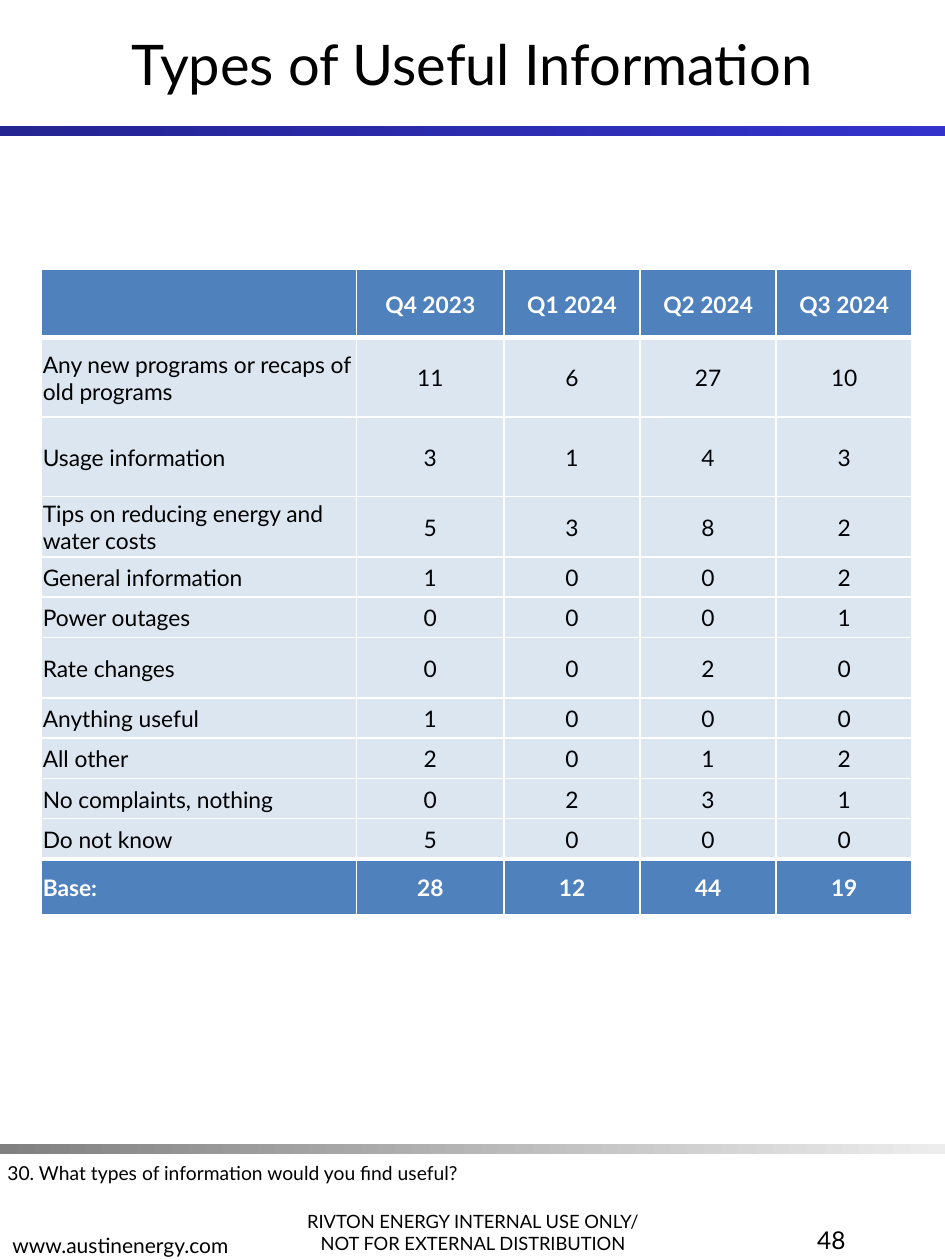
from lxml.etree import SubElement
from pptx import Presentation
from pptx.dml.color import RGBColor
from pptx.enum.shapes import MSO_SHAPE
from pptx.enum.text import MSO_ANCHOR, MSO_AUTO_SIZE, PP_ALIGN
from pptx.oxml.ns import qn
from pptx.util import Inches, Pt

BLACK = RGBColor(0x00, 0x00, 0x00)
NEAR_BLACK = RGBColor(0x01, 0x02, 0x05)
WHITE = RGBColor(0xFF, 0xFF, 0xFF)
NAVY = RGBColor(0x24, 0x24, 0x92)
BLUE = RGBColor(0x33, 0x33, 0xCC)
GRAY = RGBColor(0x80, 0x80, 0x80)
LIGHT_GRAY = RGBColor(0xED, 0xED, 0xED)
HEADER_BLUE = RGBColor(0x4F, 0x81, 0xBD)
BODY_BLUE = RGBColor(0xDC, 0xE6, 0xF1)

COLUMN_WIDTHS = [2.5, 1.17, 1.08, 1.08, 1.08]
ROWS = [
    (0.54, "", "Q4 2023", "Q1 2024", "Q2 2024", "Q3 2024"),
    (0.63, "Any new programs or recaps of old programs", 11, 6, 27, 10),
    (0.63, "Usage information", 3, 1, 4, 3),
    (0.48, "Tips on reducing energy and water costs", 5, 3, 8, 2),
    (0.32, "General information", 1, 0, 0, 2),
    (0.32, "Power outages", 0, 0, 0, 1),
    (0.48, "Rate changes", 0, 0, 2, 0),
    (0.32, "Anything useful", 1, 0, 0, 0),
    (0.32, "All other", 2, 0, 1, 2),
    (0.32, "No complaints, nothing", 0, 2, 3, 1),
    (0.32, "Do not know", 5, 0, 0, 0),
    (0.44, "Base:", 28, 12, 44, 19),
]


class SlideBuilder:
    font_name = "Lato"
    table_size = 13
    cell_format = {
        "vertical_anchor": MSO_ANCHOR.MIDDLE,
        "margin_left": Inches(0.01),
        "margin_top": Inches(0.01),
        "margin_right": Inches(0.01),
        "margin_bottom": Inches(0),
    }

    def __init__(self, slide):
        self.slide = slide

    def format_paragraph(self, paragraph, size, alignment, color=BLACK, bold=False):
        paragraph.alignment = alignment
        values = {"name": self.font_name, "size": Pt(size), "bold": bold}
        for name, value in values.items():
            setattr(paragraph.font, name, value)
        paragraph.font.color.rgb = color

    def gradient_bar(self, top, start_color, end_color):
        shape = self.slide.shapes.add_shape(
            MSO_SHAPE.RECTANGLE, Inches(0), Inches(top), Inches(7.5), Inches(0.08))
        shape.shadow.inherit = False
        shape.line.fill.background()
        shape.fill.gradient()
        shape.fill.gradient_angle = 0
        for stop, color in zip(shape.fill.gradient_stops, (start_color, end_color)):
            stop.color.rgb = color

    def text(self, lines, left, top, width, height, size,
             alignment=PP_ALIGN.LEFT, anchor=MSO_ANCHOR.TOP, auto_size=MSO_AUTO_SIZE.NONE):
        box = self.slide.shapes.add_textbox(
            Inches(left), Inches(top), Inches(width), Inches(height))
        frame = box.text_frame
        values = {"word_wrap": True, "vertical_anchor": anchor, "auto_size": auto_size}
        for name, value in values.items():
            setattr(frame, name, value)
        frame.text = "\n".join(lines)
        for paragraph in frame.paragraphs:
            self.format_paragraph(paragraph, size, alignment)

    def cell_borders(self, cell, top=1, bottom=1):
        """Draw white borders, with widths in points."""
        properties = cell._tc.get_or_add_tcPr()
        for side, width in (("L", 1), ("R", 1), ("T", top), ("B", bottom)):
            line = SubElement(properties, qn(f"a:ln{side}"), w=str(Pt(width)))
            fill = SubElement(line, qn("a:solidFill"))
            SubElement(fill, qn("a:srgbClr"), val=str(WHITE))

    def table(self, rows, column_widths, left, top):
        heights = [row[0] for row in rows]
        table = self.slide.shapes.add_table(
            len(rows), len(column_widths), Inches(left), Inches(top),
            Inches(sum(column_widths)), Inches(sum(heights))).table
        for column, width in zip(table.columns, column_widths):
            column.width = Inches(width)
        last = len(rows) - 1
        for row_index, (height, *values) in enumerate(rows):
            table.rows[row_index].height = Inches(height)
            emphasized = row_index in (0, last)
            for column_index, value in enumerate(values):
                cell = table.cell(row_index, column_index)
                for name, setting in self.cell_format.items():
                    setattr(cell, name, setting)
                self.cell_borders(
                    cell,
                    top=3 if row_index in (1, last) else 1,
                    bottom=3 if row_index in (0, last - 1) else 1)
                cell.fill.solid()
                cell.fill.fore_color.rgb = HEADER_BLUE if emphasized else BODY_BLUE
                cell.text = str(value)
                is_label = column_index == 0
                body_color = BLACK if is_label else NEAR_BLACK
                self.format_paragraph(
                    cell.text_frame.paragraphs[0], self.table_size,
                    PP_ALIGN.LEFT if is_label else PP_ALIGN.CENTER,
                    WHITE if emphasized else body_color, emphasized)


def main():
    presentation = Presentation()
    presentation.slide_width = Inches(7.5)
    presentation.slide_height = Inches(10)
    builder = SlideBuilder(presentation.slides.add_slide(presentation.slide_layouts[6]))

    builder.gradient_bar(1, NAVY, BLUE)
    builder.gradient_bar(9.08, GRAY, LIGHT_GRAY)
    builder.text(["RIVTON ENERGY INTERNAL USE ONLY/", "NOT FOR EXTERNAL DISTRIBUTION"],
                 2.16, 9.33, 3.19, 0.67, 10.5, PP_ALIGN.CENTER, MSO_ANCHOR.BOTTOM)
    builder.text(["www.austinenergy.com"], 0, 9.36, 3.19, 0.67, 12,
                 anchor=MSO_ANCHOR.BOTTOM)
    builder.text(["Types of Useful Information"], 0, 0, 7.5, 1, 32,
                 PP_ALIGN.CENTER, MSO_ANCHOR.MIDDLE)
    builder.text(["48"], 5.25, 9.67, 1.56, 0.67, 14, PP_ALIGN.RIGHT)
    builder.text(["30. What types of information would you find useful?"],
                 -0.04, 9.17, 6.85, 0.29, 11, auto_size=MSO_AUTO_SIZE.SHAPE_TO_FIT_TEXT)
    builder.table(ROWS, COLUMN_WIDTHS, 0.33, 2.14)

    presentation.save("out.pptx")


if __name__ == "__main__":
    main()
